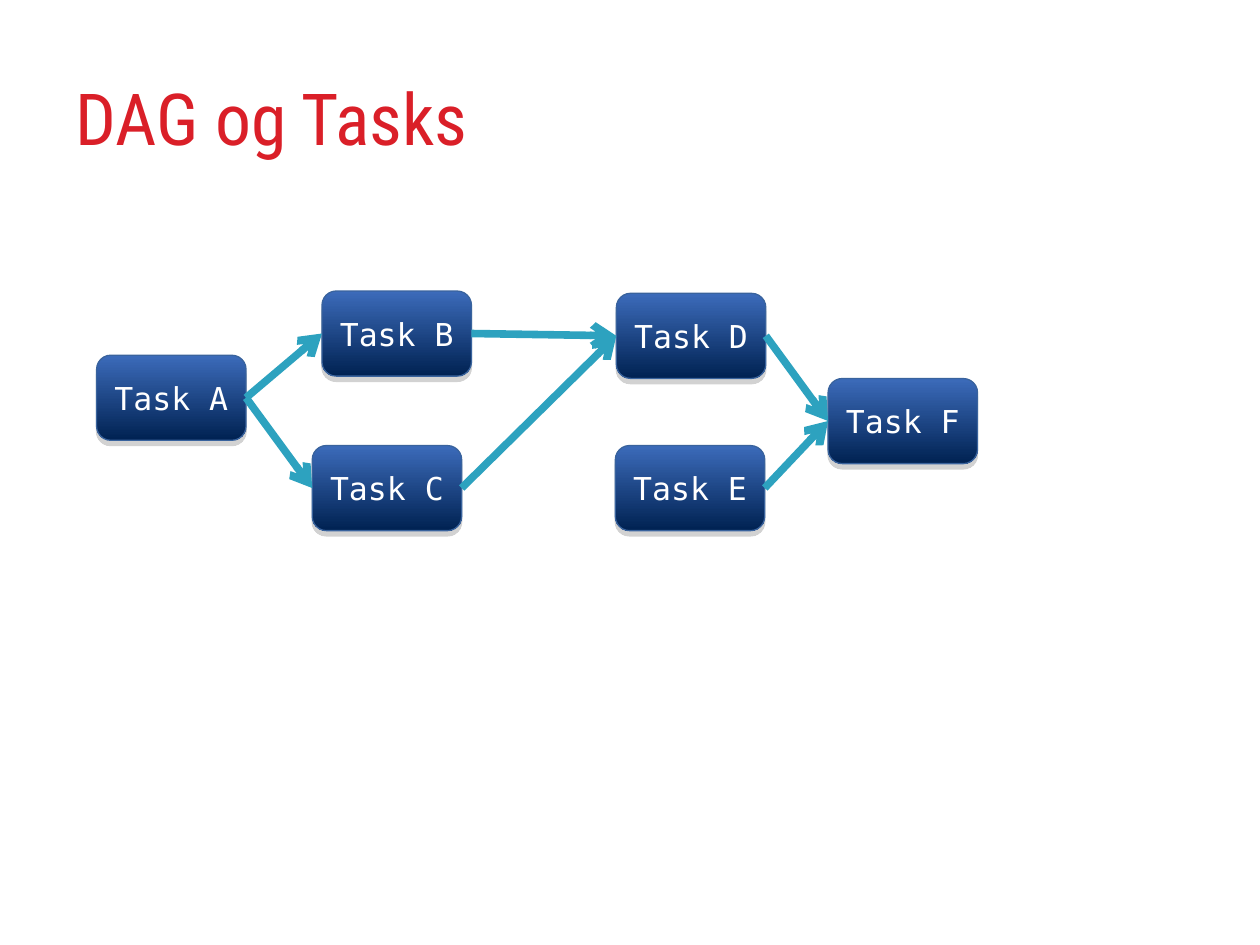
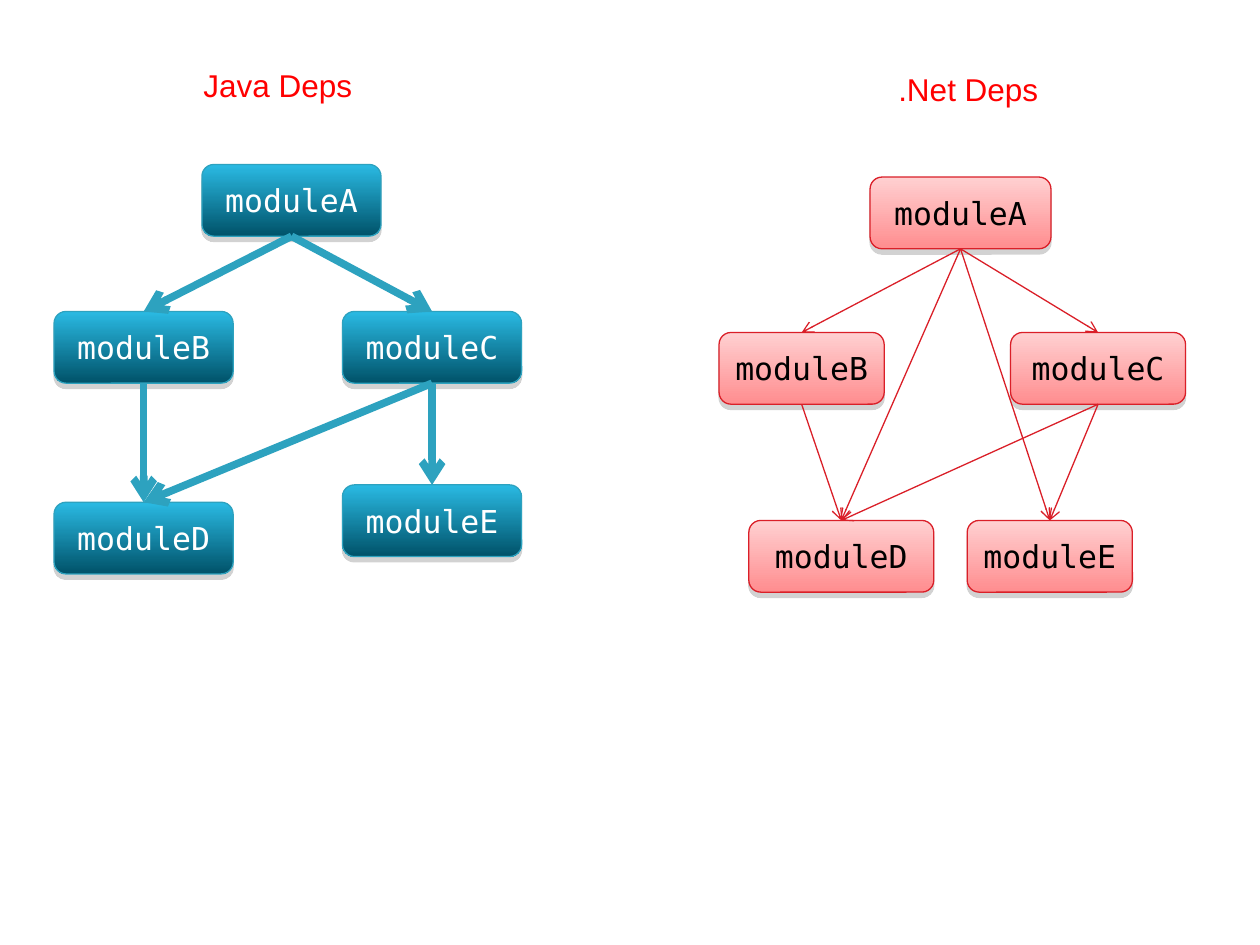
"""Build two slides of dependency graphs: a task DAG and module dependencies."""
from dataclasses import dataclass

from lxml import etree
from pptx import Presentation
from pptx.dml.color import RGBColor
from pptx.enum.shapes import MSO_CONNECTOR, MSO_SHAPE
from pptx.enum.text import MSO_ANCHOR, MSO_AUTO_SIZE, PP_ALIGN
from pptx.oxml.ns import qn
from pptx.shapes.autoshape import Shape
from pptx.slide import Slide
from pptx.text.text import TextFrame
from pptx.util import Pt

ROUNDED = MSO_SHAPE.ROUNDED_RECTANGLE
STRAIGHT = MSO_CONNECTOR.STRAIGHT
MIDDLE = MSO_ANCHOR.MIDDLE
CENTER = PP_ALIGN.CENTER
FIT_SHAPE = MSO_AUTO_SIZE.SHAPE_TO_FIT_TEXT
LEFT_SIDE, BOTTOM_SIDE, RIGHT_SIDE, TOP_SIDE = 1, 2, 3, 0

COLORS = {
    "title": "DA1F28",
    "label": "FF0000",
    "white": "FFFFFF",
    "black": "000000",
    "shadow": "808080",
    "navy_top": "3C6BBA",
    "navy_bottom": "002252",
    "navy_line": "39639D",
    "teal_top": "2ABAE3",
    "teal_bottom": "005269",
    "teal_line": "2DA2BF",
    "pink_top": "FFD0D1",
    "pink_bottom": "FF8D8F",
    "red_line": "DA1F28",
}
TITLE_FONT = "Roboto Condensed"
LABEL_FONT = "Arial"
NODE_FONT = "DejaVu Sans Mono"
TEXT_SIZE = 18
THIN, THICK = 0.75, 4.34


@dataclass(frozen=True)
class GraphStyle:
    top: str
    bottom: str
    outline: str
    text: str
    arrow: str
    arrow_width: float
    exit_side: int
    entry_side: int


@dataclass(frozen=True)
class Node:
    letter: str
    left: float
    top: float
    width: float


@dataclass(frozen=True)
class Graph:
    prefix: str
    node_height: float
    style: GraphStyle
    nodes: tuple[Node, ...]
    links: tuple[str, ...]


@dataclass(frozen=True)
class Label:
    text: str
    left: float
    top: float
    width: float


TASK_STYLE = GraphStyle("navy_top", "navy_bottom", "navy_line", "white",
                        "teal_line", THICK, RIGHT_SIDE, LEFT_SIDE)
JAVA_STYLE = GraphStyle("teal_top", "teal_bottom", "teal_line", "white",
                        "teal_line", THICK, BOTTOM_SIDE, TOP_SIDE)
NET_STYLE = GraphStyle("pink_top", "pink_bottom", "red_line", "black",
                       "red_line", THIN, BOTTOM_SIDE, TOP_SIDE)

TASK_WIDTH, JAVA_WIDTH = 85.4, 102.4
TASKS = Graph("Task ", 48.6, TASK_STYLE, (
    Node("A", 55.2, 203, TASK_WIDTH),
    Node("B", 184, 166.3, TASK_WIDTH),
    Node("C", 178.4, 254.6, TASK_WIDTH),
    Node("D", 352.2, 167.6, TASK_WIDTH),
    Node("E", 351.6, 254.6, TASK_WIDTH),
    Node("F", 473.2, 216.3, TASK_WIDTH),
), ("AB", "AC", "BD", "CD", "EF", "DF"))
JAVA_MODULES = Graph("module", 41, JAVA_STYLE, (
    Node("A", 115.4, 94, JAVA_WIDTH),
    Node("B", 30.9, 178, JAVA_WIDTH),
    Node("C", 195.7, 178, JAVA_WIDTH),
    Node("D", 30.9, 287, JAVA_WIDTH),
    Node("E", 195.7, 277.1, JAVA_WIDTH),
), ("AB", "AC", "BD", "CE", "CD"))
NET_MODULES = Graph("module", 41, NET_STYLE, (
    Node("A", 497.2, 101.2, 103.4),
    Node("B", 410.9, 190, 94.4),
    Node("C", 577.5, 190, 100),
    Node("D", 427.9, 297.4, 105.7),
    Node("E", 552.7, 297.4, 94.4),
), ("AB", "AC", "BD", "CE", "CD", "AD", "AE"))
LABELS = (Label("Java Deps", 109.2, 34.4, 99.4),
          Label(".Net Deps", 506.2, 36.7, 94.3))


def color(name: str) -> RGBColor:
    return RGBColor.from_string(COLORS[name])


def write(frame: TextFrame, text: str, font: str, size: float, color_name: str) -> None:
    run = frame.paragraphs[0].add_run()
    run.text = text
    run.font.name = font
    run.font.size = Pt(size)
    run.font.color.rgb = color(color_name)


def add_title(slide: Slide, text: str) -> None:
    box = slide.shapes.add_textbox(Pt(36), Pt(21.6), Pt(648), Pt(90))
    frame = box.text_frame
    frame.word_wrap = True
    frame.vertical_anchor = MIDDLE
    write(frame, text, TITLE_FONT, 41, "title")


def add_label(slide: Slide, label: Label) -> None:
    box = slide.shapes.add_textbox(Pt(label.left), Pt(label.top), Pt(label.width), Pt(29))
    frame = box.text_frame
    frame.word_wrap = False
    frame.auto_size = FIT_SHAPE
    write(frame, label.text, LABEL_FONT, TEXT_SIZE, "label")


def add_drop_shadow(shape: Shape) -> None:
    shape.shadow.inherit = False
    effects = shape.element.spPr.find(qn("a:effectLst"))
    shadow = etree.SubElement(effects, qn("a:outerShdw"), dist=str(Pt(3)),
                              dir="5400000", rotWithShape="0")
    shade = etree.SubElement(shadow, qn("a:srgbClr"), val=COLORS["shadow"])
    etree.SubElement(shade, qn("a:alpha"), val="35000")


def add_node(slide: Slide, graph: Graph, node: Node) -> Shape:
    style = graph.style
    shape = slide.shapes.add_shape(ROUNDED, Pt(node.left), Pt(node.top),
                                   Pt(node.width), Pt(graph.node_height))
    shape.fill.gradient()
    shape.fill.gradient_angle = 270
    for stop, name in zip(shape.fill.gradient_stops, (style.top, style.bottom)):
        stop.color.rgb = color(name)
    shape.line.color.rgb = color(style.outline)
    shape.line.width = Pt(THIN)
    add_drop_shadow(shape)
    frame = shape.text_frame
    frame.word_wrap = True
    frame.vertical_anchor = MIDDLE
    frame.paragraphs[0].alignment = CENTER
    write(frame, graph.prefix + node.letter, NODE_FONT, TEXT_SIZE, style.text)
    return shape


def add_arrow(slide: Slide, source: Shape, target: Shape, style: GraphStyle) -> None:
    connector = slide.shapes.add_connector(STRAIGHT, Pt(0), Pt(0), Pt(0), Pt(0))
    connector.begin_connect(source, style.exit_side)
    connector.end_connect(target, style.entry_side)
    connector.line.color.rgb = color(style.arrow)
    connector.line.width = Pt(style.arrow_width)
    properties = connector.element.spPr
    etree.SubElement(properties.find(qn("a:ln")), qn("a:tailEnd"), type="arrow")
    etree.SubElement(properties, qn("a:effectLst"))


def add_graph(slide: Slide, graph: Graph) -> None:
    shapes = {node.letter: add_node(slide, graph, node) for node in graph.nodes}
    for source, target in graph.links:
        add_arrow(slide, shapes[source], shapes[target], graph.style)


def main() -> None:
    presentation = Presentation()
    presentation.slide_width = Pt(720)
    presentation.slide_height = Pt(540)
    blank = presentation.slide_layouts[6]

    task_slide = presentation.slides.add_slide(blank)
    add_title(task_slide, "DAG og Tasks")
    add_graph(task_slide, TASKS)

    module_slide = presentation.slides.add_slide(blank)
    for label in LABELS:
        add_label(module_slide, label)
    for graph in (JAVA_MODULES, NET_MODULES):
        add_graph(module_slide, graph)

    presentation.save("out.pptx")


if __name__ == "__main__":
    main()
